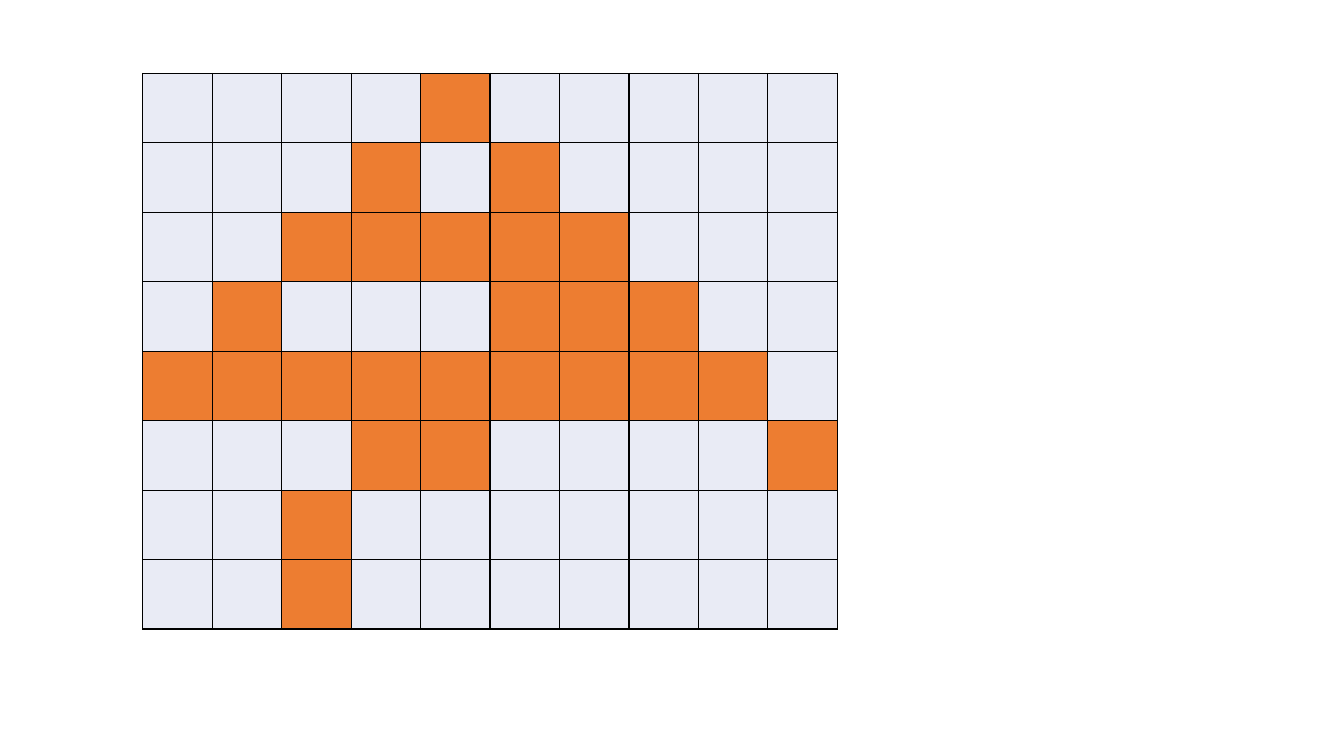
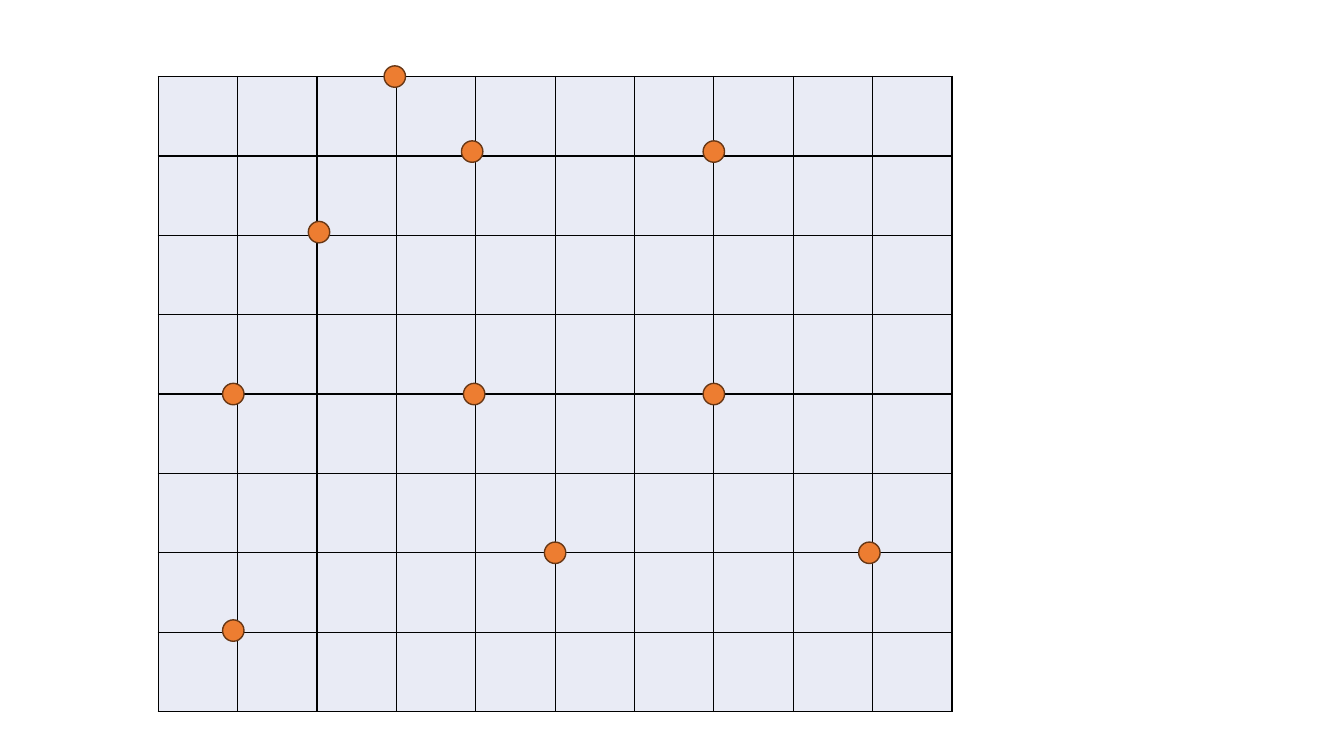
from lxml.etree import SubElement
from pptx import Presentation
from pptx.dml.color import RGBColor as RGB
from pptx.enum.shapes import MSO_SHAPE as SHAPE
from pptx.oxml.ns import qn
from pptx.util import Cm, Pt

COLORS = {"cell": "E9EBF5", "mark": "ED7D31", "dot_line": "683715", "border": "000000"}
ROWS, COLS = 8, 10
DOT = 0.54
PIXELS = [
    "....#.....",
    "...#.#....",
    "..#####...",
    ".#...###..",
    "#########.",
    "...##....#",
    "..#.......",
    "..#.......",
]
DOTS = [
    (14, 1.89), (1.89, 13.96), (17.92, 12), (10, 12), (14, 8),
    (5.96, 0), (1.89, 8), (7.91, 1.89), (4.05, 3.92), (7.96, 8),
]


def set_fill(obj, color):
    """Give a cell or shape a solid fill."""
    obj.fill.solid()
    obj.fill.fore_color.rgb = RGB.from_string(COLORS[color])


def set_borders(cell):
    """Draw a thin border on all four sides of a cell."""
    tc_pr = cell._tc.get_or_add_tcPr()
    for side in ("lnL", "lnR", "lnT", "lnB"):
        ln = SubElement(tc_pr, qn(f"a:{side}"), w=str(Pt(1)))
        solid = SubElement(ln, qn("a:solidFill"))
        SubElement(solid, qn("a:srgbClr"), val=COLORS["border"])


def add_grid(slide, left, top, size, pixels=()):
    """Add a table of square cells, colouring those marked in pixels."""
    frame = slide.shapes.add_table(
        ROWS, COLS, Cm(left), Cm(top), Cm(COLS * size), Cm(ROWS * size))
    tbl = frame.table
    tbl.first_row = tbl.horz_banding = False
    for line in (*tbl.rows, *tbl.columns):
        if hasattr(line, "height"):
            line.height = Cm(size)
        else:
            line.width = Cm(size)
    for i, cell in enumerate(tbl.iter_cells()):
        row, col = divmod(i, COLS)
        set_borders(cell)
        set_fill(cell, "mark" if pixels and pixels[row][col] == "#" else "cell")


def add_dot(slide, x, y):
    """Add a round marker centred on a point."""
    sp = slide.shapes.add_shape(
        SHAPE.OVAL, Cm(x - DOT / 2), Cm(y - DOT / 2), Cm(DOT), Cm(DOT))
    sp.shadow.inherit = False
    set_fill(sp, "mark")
    sp.line.color.rgb = RGB.from_string(COLORS["dot_line"])
    sp.line.width = Pt(1)


def raster_slide(slide, left, top, size):
    """Show the figure as coloured cells."""
    add_grid(slide, left, top, size, PIXELS)


def vector_slide(slide, left, top, size):
    """Show points over a plain grid."""
    add_grid(slide, left, top, size)
    for x, y in DOTS:
        add_dot(slide, left + x, top + y)


def main():
    """Build and save both slides."""
    prs = Presentation()
    prs.slide_width, prs.slide_height = Cm(33.87), Cm(19.05)
    blank = prs.slide_layouts[6]
    raster_slide(prs.slides.add_slide(blank), 3.6, 1.85, 1.75)
    vector_slide(prs.slides.add_slide(blank), 3.99, 1.93, 2)
    prs.save("out.pptx")


if __name__ == "__main__":
    main()
